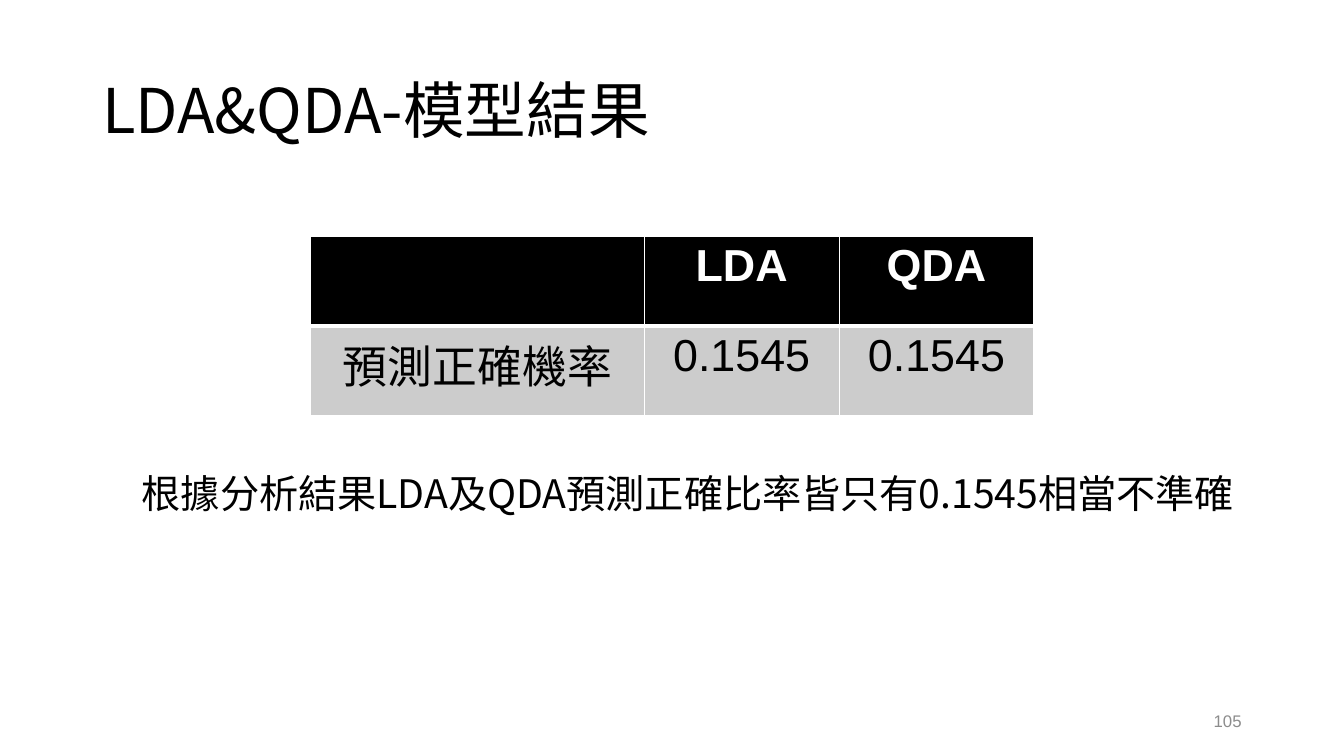
import pptx
import pptx.dml.color
import pptx.enum.text
import pptx.oxml.ns
import pptx.util
from lxml import etree

RGBColor = pptx.dml.color.RGBColor
Align = pptx.enum.text.PP_ALIGN
Anchor = pptx.enum.text.MSO_ANCHOR
qn = pptx.oxml.ns.qn

BLACK = RGBColor(0x00, 0x00, 0x00)
WHITE = RGBColor(0xFF, 0xFF, 0xFF)
LIGHT_GRAY = RGBColor(0xCC, 0xCC, 0xCC)
NUMBER_GRAY = RGBColor(0x8C, 0x8C, 0x8C)

LATIN_FONT = "Arial"
CHINESE_FONT = "Noto Sans CJK SC"

# The slide is a grid of 160 columns and 90 rows of square cells
COLUMNS, ROWS = 160, 90
CELL = pptx.util.Inches(1) / 12

RESULTS = [["", "LDA", "QDA"],
           ["預測正確機率", "0.1545", "0.1545"]]
RESULT_COLUMNS = [39.7, 23.2, 23.2]
RESULT_ROW = 10.7


def grid(count):
    return pptx.util.Emu(round(count * CELL))


def add_run(paragraph, text, size, color, font_name, bold=False):
    run = paragraph.add_run()
    run.text = text
    run.font.size = pptx.util.Pt(size)
    run.font.bold = bold
    run.font.color.rgb = color
    run.font.name = font_name
    east_asian = etree.SubElement(run.font._element, qn("a:ea"))
    east_asian.set("typeface", CHINESE_FONT)


def add_text(slide, box, text, size, color=BLACK, font_name=CHINESE_FONT,
             anchor=Anchor.MIDDLE, align=Align.LEFT, line_spacing=1.0):
    shape = slide.shapes.add_textbox(*map(grid, box))
    frame = shape.text_frame
    frame.word_wrap = True
    frame.vertical_anchor = anchor
    paragraph = frame.paragraphs[0]
    paragraph.alignment = align
    paragraph.line_spacing = line_spacing
    add_run(paragraph, text, size, color, font_name)


def set_borders(cell, widths):
    properties = cell._tc.get_or_add_tcPr()
    for side, width in widths.items():
        line = etree.SubElement(properties, qn(f"a:ln{side}"))
        line.set("w", str(pptx.util.Pt(width)))
        fill = etree.SubElement(line, qn("a:solidFill"))
        etree.SubElement(fill, qn("a:srgbClr")).set("val", str(WHITE))


def add_results_table(slide, left, top):
    box = (left, top, sum(RESULT_COLUMNS), RESULT_ROW * len(RESULTS))
    table = slide.shapes.add_table(
        len(RESULTS), len(RESULT_COLUMNS), *map(grid, box)).table
    for column, width in zip(table.columns, RESULT_COLUMNS):
        column.width = grid(width)
    for row_index, texts in enumerate(RESULTS):
        table.rows[row_index].height = grid(RESULT_ROW)
        header = row_index == 0
        # A thick line parts the header from the values
        borders = {"L": 1, "R": 1, "T": 1 if header else 3, "B": 3 if header else 1}
        for column_index, text in enumerate(texts):
            cell = table.cell(row_index, column_index)
            set_borders(cell, borders)
            cell.fill.solid()
            cell.fill.fore_color.rgb = BLACK if header else LIGHT_GRAY
            paragraph = cell.text_frame.paragraphs[0]
            paragraph.alignment = Align.CENTER
            if text:
                add_run(paragraph, text, 32, WHITE if header else BLACK,
                        LATIN_FONT, bold=header)


def main():
    presentation = pptx.Presentation()
    presentation.slide_width = grid(COLUMNS)
    presentation.slide_height = grid(ROWS)
    slide = presentation.slides.add_slide(presentation.slide_layouts[6])

    # Title
    add_text(slide, (11, 4.8, 138, 17.4), "LDA&QDA-模型結果", 44, line_spacing=0.9)

    # Accuracy of both models
    add_results_table(slide, 37, 28.1)

    # Conclusion
    add_text(slide, (15.7, 55.3, 135.8, 6.9),
             "根據分析結果LDA及QDA預測正確比率皆只有0.1545相當不準確", 28,
             anchor=Anchor.TOP)

    # Slide number
    add_text(slide, (113, 83.4, 36, 4.8), "105", 12, color=NUMBER_GRAY,
             font_name=LATIN_FONT, align=Align.RIGHT)

    presentation.save("out.pptx")


if __name__ == "__main__":
    main()
